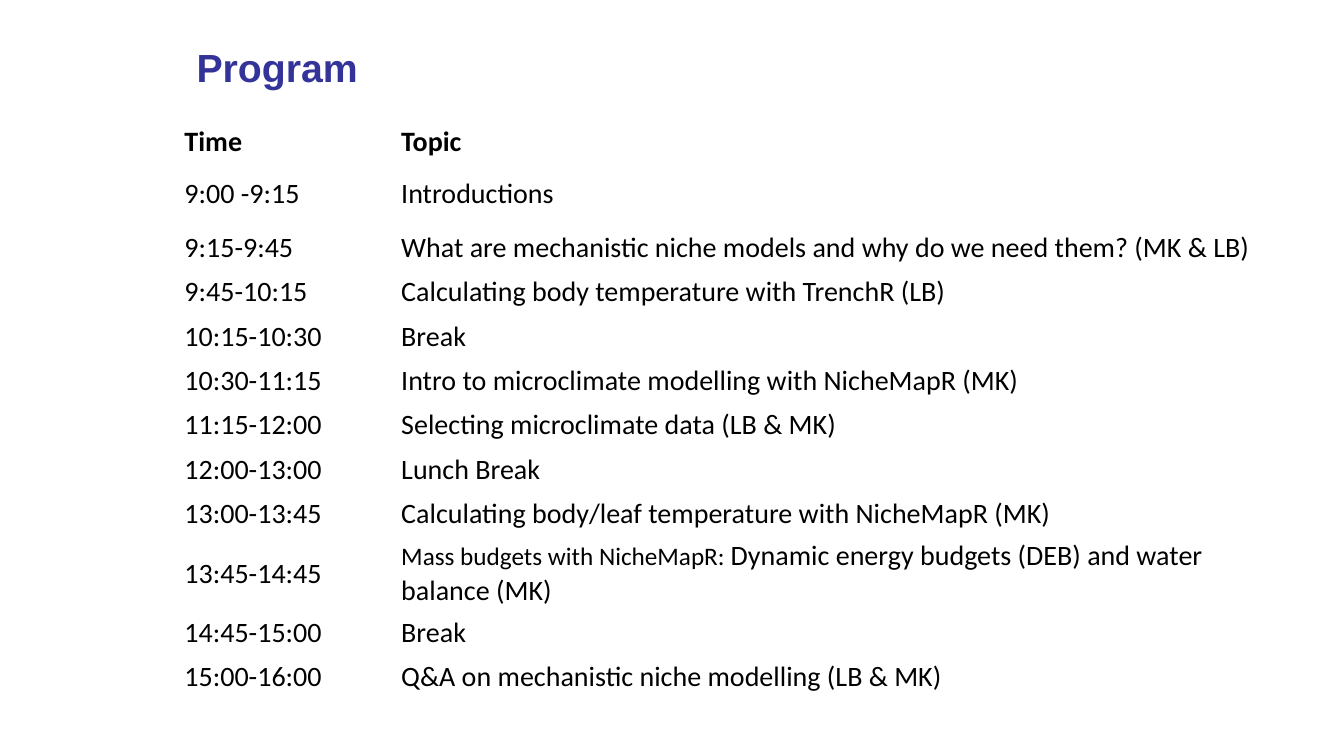
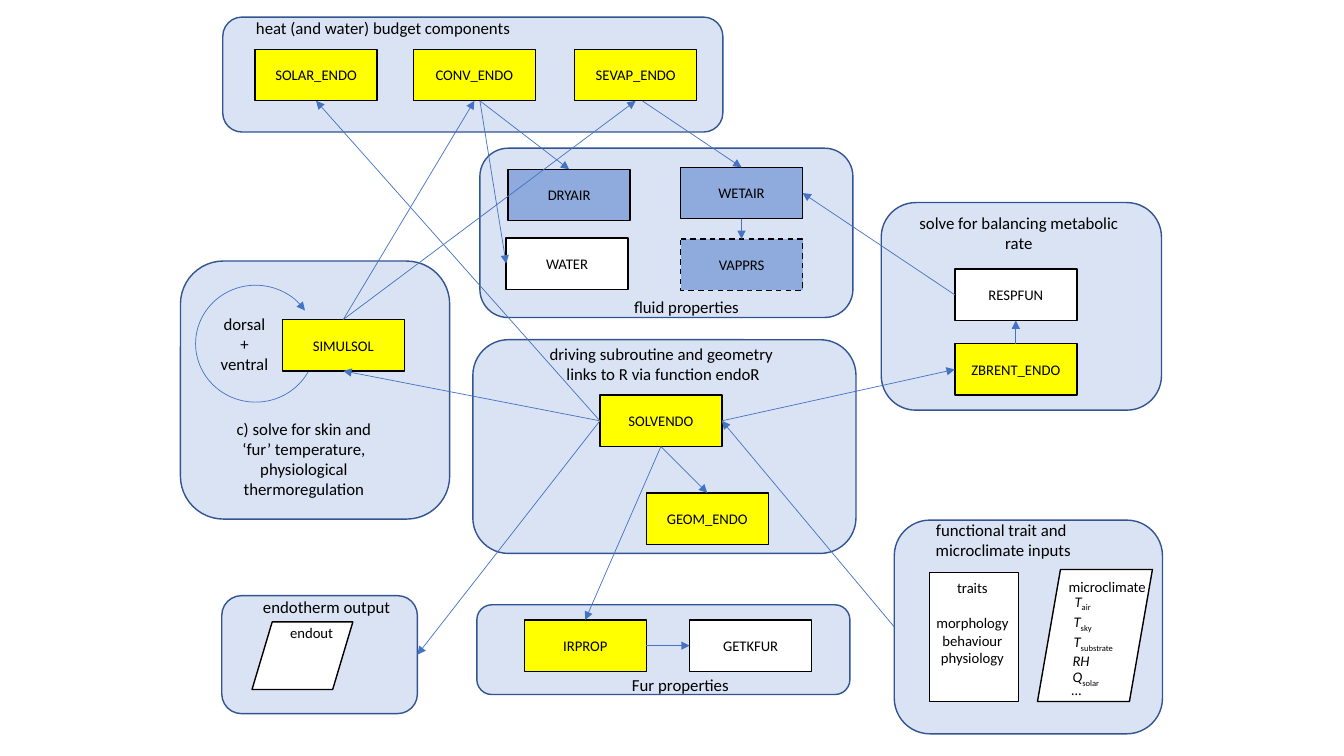
from dataclasses import dataclass
from typing import NamedTuple

from lxml import etree
from pptx import Presentation
from pptx import util as u
from pptx.dml.color import RGBColor
from pptx.enum import dml, shapes, text
from pptx.oxml.ns import qn

# Shared look
BLACK = RGBColor(0x00, 0x00, 0x00)
WHITE = RGBColor(0xFF, 0xFF, 0xFF)
YELLOW = RGBColor(0xFF, 0xFF, 0x00)
MID_BLUE = RGBColor(0x8F, 0xAA, 0xDC)
PALE_BLUE = RGBColor(0xDA, 0xE3, 0xF3)
PANEL_LINE = RGBColor(0x32, 0x54, 0x91)
ARROW_BLUE = RGBColor(0x44, 0x72, 0xC4)
TITLE_BLUE = RGBColor(0x33, 0x33, 0x99)
TITLE_FONT, BODY_FONT = "Arial", "Calibri"
LABEL_SIZE, BOX_SIZE = 12, 10.5
TOP, LEFT, BOTTOM, RIGHT = range(4)
LEFT_ALIGN, CENTRE = text.PP_ALIGN.LEFT, text.PP_ALIGN.CENTER
PROCESS = shapes.MSO_SHAPE.FLOWCHART_PROCESS
DATA = shapes.MSO_SHAPE.FLOWCHART_DATA
ROUNDED = shapes.MSO_SHAPE.ROUNDED_RECTANGLE


def grid(cells: float) -> int:
    """Length of a number of grid cells, ten to the inch."""
    return u.Inches(cells / 10)


class Area(NamedTuple):
    column: float
    row: float
    columns: float
    rows: float

    def lengths(self) -> list[int]:
        return [grid(cells) for cells in self]


class Run(NamedTuple):
    text: str
    size: float
    bold: bool = False
    italic: bool = False
    subscript: bool = False


@dataclass(frozen=True)
class Node:
    name: str
    area: Area
    fill: RGBColor = YELLOW
    kind: int = PROCESS
    line: RGBColor = BLACK
    caption: bool = True
    dashed: bool = False


@dataclass(frozen=True)
class Label:
    area: Area
    lines: tuple[str, ...]
    size: float = LABEL_SIZE
    alignment: int = CENTRE
    wrap: bool = True


class Side(NamedTuple):
    name: str
    site: int


class Point(NamedTuple):
    column: float
    row: float


# Program table
TABLE_AREA = Area(17.6, 12.1, 109.1, 58.1)
TABLE_COLUMNS = (21.5, 87.6)
TABLE_ROWS = (3.4, 6.3) + (4.4,) * 11
PROGRAM = (
    ("Time", "Topic"),
    ("9:00 -9:15", "Introductions"),
    ("9:15-9:45", "What are mechanistic niche models and why do we need them? (MK & LB)"),
    ("9:45-10:15", "Calculating body temperature with TrenchR (LB)"),
    ("10:15-10:30", "Break"),
    ("10:30-11:15", "Intro to microclimate modelling with NicheMapR (MK)"),
    ("11:15-12:00", "Selecting microclimate data (LB & MK)"),
    ("12:00-13:00", "Lunch Break"),
    ("13:00-13:45", "Calculating body/leaf temperature with NicheMapR (MK)"),
    ("13:45-14:45", (Run("Mass budgets with NicheMapR: ", 18),
                     Run("Dynamic energy budgets (DEB) and water balance (MK)", 20))),
    ("14:45-15:00", "Break"),
    ("15:00-16:00", "Q&A on mechanistic niche modelling (LB & MK)"),
)


# Flow chart parts
def panel(name: str, *area: float) -> Node:
    return Node(name, Area(*area), PALE_BLUE, ROUNDED, PANEL_LINE, caption=False)


def box(name: str, column: float, row: float, fill: RGBColor = YELLOW,
        dashed: bool = False) -> Node:
    return Node(name, Area(column, row, 12.1, 5.1), fill, dashed=dashed)


NODES = (
    panel("inputs", 88.7, 51.6, 26.6, 21.2),
    panel("metabolic rate", 87.4, 20.1, 27.8, 20.6),
    panel("fluid", 47.6, 14.7, 37, 16.8),
    panel("driver", 46.9, 33.7, 38, 21.2),
    panel("skin", 17.9, 25.9, 26.7, 25.6),
    panel("budget", 22.1, 1.7, 49.6, 11.4),
    panel("output", 22, 59.1, 19.4, 11.7),
    panel("fur", 47.3, 60, 37, 8.9),
    box("SOLAR_ENDO", 25.3, 4.9),
    box("CONV_ENDO", 41, 4.9),
    box("SEVAP_ENDO", 57, 4.9),
    box("DRYAIR", 50.4, 16.8, MID_BLUE),
    box("WETAIR", 67.5, 16.6, MID_BLUE),
    box("WATER", 50.2, 23.6, WHITE),
    box("VAPPRS", 67.5, 23.7, MID_BLUE, dashed=True),
    box("RESPFUN", 94.7, 26.7, WHITE),
    box("ZBRENT_ENDO", 94.7, 34.1),
    box("SIMULSOL", 28, 31.7),
    box("SOLVENDO", 59.5, 39.2),
    box("GEOM_ENDO", 64.1, 48.9),
    box("IRPROP", 52, 61.5),
    box("GETKFUR", 68.4, 61.5, WHITE),
    Node("traits", Area(92.2, 56.8, 8.8, 12.8), WHITE, caption=False),
    Node("endout", Area(25, 61.7, 10, 6.7), WHITE, DATA, caption=False),
    Node("microclimate", Area(102.9, 56.5, 11.4, 13.1), WHITE, DATA, caption=False),
)

LABELS = (
    Label(Area(24.4, 1.3, 27.5, 3), ("heat (and water) budget components",),
          alignment=LEFT_ALIGN, wrap=False),
    Label(Area(61.9, 28.9, 12.8, 3), ("fluid properties",), alignment=LEFT_ALIGN, wrap=False),
    Label(Area(61.7, 66.4, 11.7, 3), ("Fur properties",), alignment=LEFT_ALIGN, wrap=False),
    Label(Area(88.8, 20.6, 24.5, 5), ("solve for balancing metabolic rate",)),
    Label(Area(21.5, 41, 17.3, 9.1),
          ("c) solve for skin and ‘fur’ temperature, physiological thermoregulation",)),
    Label(Area(52.6, 33.6, 26, 5),
          ("driving subroutine and geometry", " links to R via function endoR")),
    Label(Area(89.4, 51.1, 20.2, 5), ("functional trait and ", "microclimate inputs")),
    Label(Area(23.9, 58.7, 17, 3), ("endotherm output",)),
    Label(Area(15.6, 30.6, 17.3, 7.1), ("dorsal", "+", "ventral")),
    Label(Area(27.8, 61.4, 6.3, 2.8), ("endout",), BOX_SIZE, LEFT_ALIGN, False),
    Label(Area(105, 56.8, 9.8, 2.8), ("microclimate",), BOX_SIZE, LEFT_ALIGN, False),
)
TRAITS_AREA = Area(91.8, 56.9, 9.3, 11.6)
TRAITS = ("traits", "morphology", "behaviour", "physiology")

# Microclimate symbols: area, symbol, subscript
SYMBOLS = (
    (Area(105.6, 58.3, 3.8, 2.8), "T", "air"),
    (Area(105.5, 60.3, 4, 2.8), "T", "sky"),
    (Area(105.5, 62.3, 6.5, 2.8), "T", "substrate"),
    (Area(105.4, 64.2, 3.7, 2.8), "RH", ""),
    (Area(105.4, 65.8, 5, 2.8), "Q", "solar"),
    (Area(105.3, 67.1, 3.1, 2.8), "…", ""),
)

ARROWS = (
    (Point(47.6, 10), Side("DRYAIR", TOP)),
    (Point(47.6, 10), Side("WATER", LEFT)),
    (Point(63.7, 10), Side("WETAIR", TOP)),
    (Side("WETAIR", BOTTOM), Side("VAPPRS", TOP)),
    (Side("RESPFUN", LEFT), Side("WETAIR", RIGHT)),
    (Side("ZBRENT_ENDO", TOP), Side("RESPFUN", BOTTOM)),
    (Side("SOLVENDO", RIGHT), Side("ZBRENT_ENDO", LEFT)),
    (Side("SOLVENDO", LEFT), Side("SOLAR_ENDO", BOTTOM)),
    (Side("SOLVENDO", LEFT), Side("output", RIGHT)),
    (Side("SOLVENDO", LEFT), Side("SIMULSOL", BOTTOM)),
    (Side("SOLVENDO", BOTTOM), Side("GEOM_ENDO", TOP)),
    (Side("SOLVENDO", BOTTOM), Side("IRPROP", TOP)),
    (Side("inputs", LEFT), Side("SOLVENDO", RIGHT)),
    (Side("SIMULSOL", TOP), Side("CONV_ENDO", BOTTOM)),
    (Side("SIMULSOL", TOP), Side("SEVAP_ENDO", BOTTOM)),
    (Side("IRPROP", RIGHT), Side("GETKFUR", LEFT)),
)
LOOP_AREA = Area(19.4, 28.3, 11.9, 11.6)
LOOP_DEGREES = (28.6, 326.1)


# Drawing functions
def add_runs(paragraph, *runs: Run) -> None:
    for item in runs:
        run = paragraph.add_run()
        run.text = item.text
        font = run.font
        font.name, font.size = BODY_FONT, u.Pt(item.size)
        font.bold, font.italic = item.bold, item.italic
        font.color.rgb = BLACK
        if item.subscript:
            run._r.get_or_add_rPr().set("baseline", "-25000")


def add_text(slide, area: Area, lines: list[tuple[Run, ...]], alignment=LEFT_ALIGN,
             wrap: bool = False):
    frame = slide.shapes.add_textbox(*area.lengths()).text_frame
    frame.word_wrap = wrap
    frame.auto_size = text.MSO_AUTO_SIZE.SHAPE_TO_FIT_TEXT
    for index, runs in enumerate(lines):
        paragraph = frame.add_paragraph() if index else frame.paragraphs[0]
        paragraph.alignment = alignment
        add_runs(paragraph, *runs)
    return frame


def add_node(slide, node: Node):
    shape = slide.shapes.add_shape(node.kind, *node.area.lengths())
    shape.shadow.inherit = False
    shape.fill.solid()
    shape.fill.fore_color.rgb = node.fill
    shape.line.color.rgb = node.line
    shape.line.width = u.Pt(1)
    if node.dashed:
        shape.line.dash_style = dml.MSO_LINE.DASH
    if node.caption:
        frame = shape.text_frame
        frame.vertical_anchor = text.MSO_ANCHOR.MIDDLE
        frame.paragraphs[0].alignment = CENTRE
        add_runs(frame.paragraphs[0], Run(node.name, BOX_SIZE))
    return shape


def style_arrow(shape) -> None:
    shape.line.color.rgb = ARROW_BLUE
    shape.line.width = u.Pt(0.5)
    properties = shape._element.find(qn("p:spPr"))
    etree.SubElement(properties.find(qn("a:ln")), qn("a:tailEnd"), type="triangle")
    if properties.find(qn("a:effectLst")) is None:
        etree.SubElement(properties, qn("a:effectLst"))


def add_arrow(slide, nodes: dict, start: Side | Point, end: Side) -> None:
    x, y = (grid(start.column), grid(start.row)) if isinstance(start, Point) else (0, 0)
    connector = slide.shapes.add_connector(shapes.MSO_CONNECTOR.STRAIGHT, x, y, x, y)
    if isinstance(start, Side):
        connector.begin_connect(nodes[start.name], start.site)
    connector.end_connect(nodes[end.name], end.site)
    style_arrow(connector)


def add_loop(slide) -> None:
    arc = slide.shapes.add_shape(shapes.MSO_SHAPE.ARC, *LOOP_AREA.lengths())
    for index, degrees in enumerate(LOOP_DEGREES):
        arc.adjustments[index] = degrees * 0.6  # 60000 units a degree, over 100000
    arc.fill.background()
    style_arrow(arc)


# Slides
def build_program(presentation) -> None:
    slide = presentation.slides.add_slide(presentation.slide_layouts[5])
    title = slide.shapes.title
    title.left, title.top, title.width, title.height = Area(18.5, 3.8, 55.5, 5.7).lengths()
    paragraph = title.text_frame.paragraphs[0]
    paragraph.alignment = LEFT_ALIGN
    run = paragraph.add_run()
    run.text = "Program"
    run.font.name, run.font.size, run.font.bold = TITLE_FONT, u.Pt(28), True
    run.font.color.rgb = TITLE_BLUE

    table = slide.shapes.add_table(
        len(TABLE_ROWS), len(TABLE_COLUMNS), *TABLE_AREA.lengths()).table
    table.first_row = table.horz_banding = False
    for column, columns in zip(table.columns, TABLE_COLUMNS):
        column.width = grid(columns)
    for row, rows in zip(table.rows, TABLE_ROWS):
        row.height = grid(rows)
    for cell in table.iter_cells():
        cell.fill.background()
        cell.vertical_anchor = text.MSO_ANCHOR.MIDDLE
        cell.margin_left = cell.margin_right = grid(0.7)
        cell.margin_top = cell.margin_bottom = grid(0.3)
    for row, entries in enumerate(PROGRAM):
        for column, entry in enumerate(entries):
            runs = (Run(entry, 20, bold=row == 0),) if isinstance(entry, str) else entry
            add_runs(table.cell(row, column).text_frame.paragraphs[0], *runs)


def build_flow_chart(presentation) -> None:
    slide = presentation.slides.add_slide(presentation.slide_layouts[6])
    nodes = {node.name: add_node(slide, node) for node in NODES}
    for label in LABELS:
        lines = [(Run(line, label.size),) for line in label.lines]
        add_text(slide, label.area, lines, label.alignment, label.wrap)
    traits = add_text(slide, TRAITS_AREA, [(Run(line, BOX_SIZE),) for line in TRAITS], CENTRE)
    traits.paragraphs[1].space_before = u.Pt(12.8)
    for area, symbol, subscript in SYMBOLS:
        runs = [Run(symbol, BOX_SIZE, italic=True)]
        if subscript:
            runs.append(Run(subscript, BOX_SIZE, subscript=True))
        add_text(slide, area, [tuple(runs)])
    for start, end in ARROWS:
        add_arrow(slide, nodes, start, end)
    add_loop(slide)


def main() -> None:
    presentation = Presentation()
    presentation.slide_width, presentation.slide_height = u.Inches(13.33), u.Inches(7.5)
    build_program(presentation)
    build_flow_chart(presentation)
    presentation.save("out.pptx")


if __name__ == "__main__":
    main()
